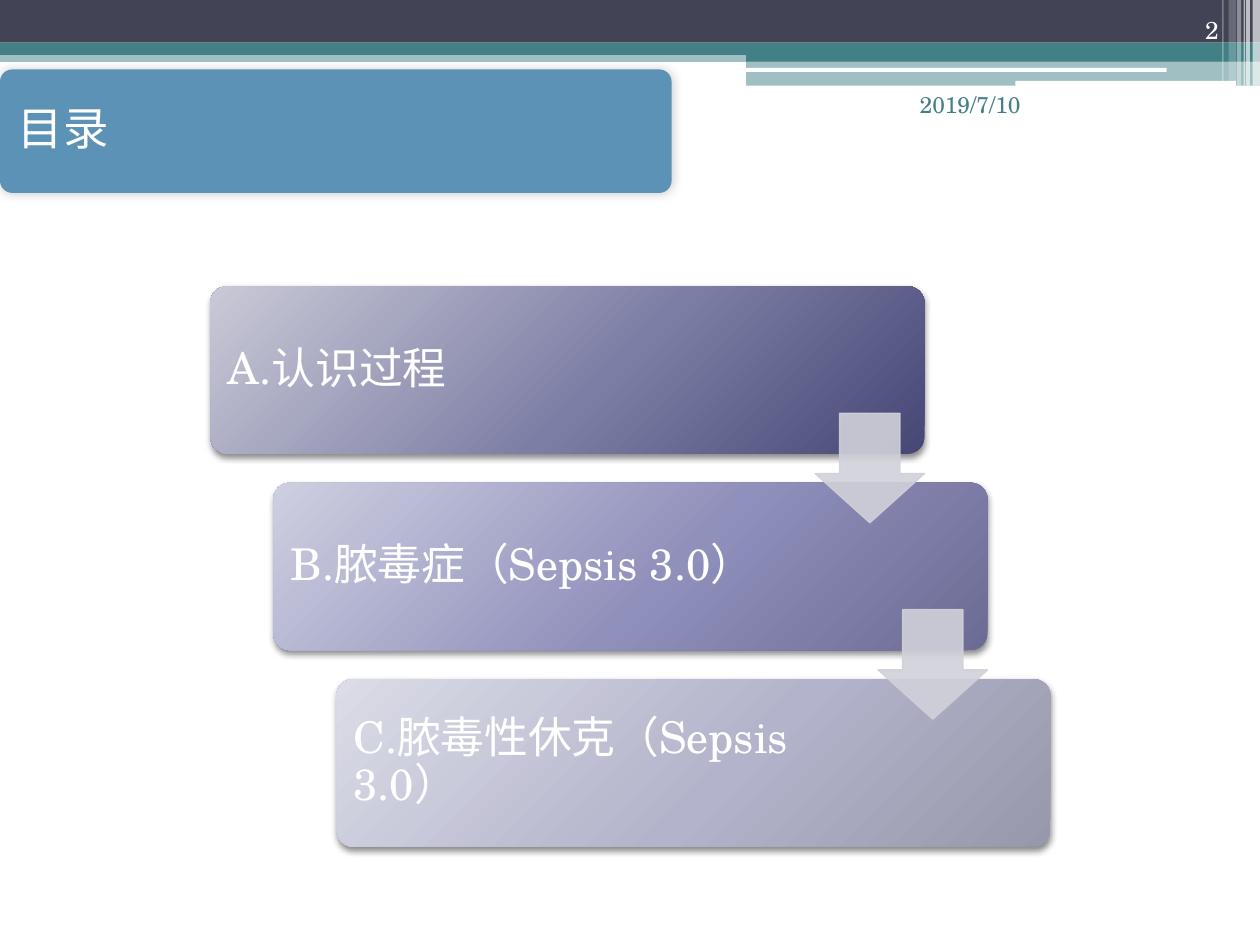
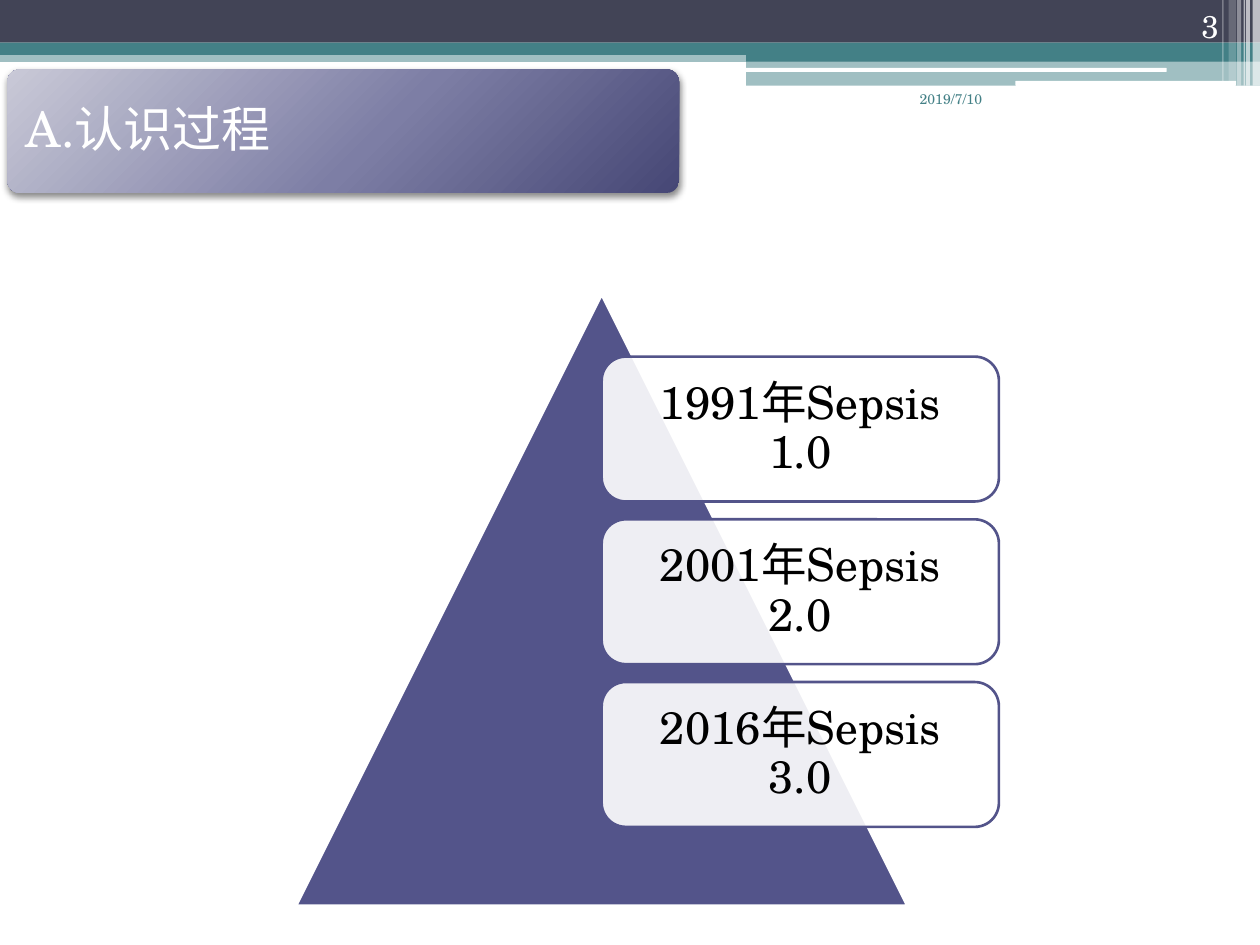
from dataclasses import dataclass
from typing import NamedTuple

from pptx import Presentation
from pptx.dml.color import RGBColor
from pptx.enum.shapes import MSO_SHAPE
from pptx.enum.text import MSO_ANCHOR, PP_ALIGN
from pptx.oxml import parse_xml
from pptx.oxml.ns import nsdecls, qn
from pptx.util import Cm, Pt


class Box(NamedTuple):
    """A rectangle in centimetres."""

    left: float
    top: float
    width: float
    height: float

    def lengths(self):
        """Return the four values as slide lengths."""
        return [Cm(value) for value in self]


class Shadow(NamedTuple):
    """An outer shadow: opacity in percent, points and degrees."""

    opacity: int
    blur: int
    distance: int
    angle: int


@dataclass(frozen=True)
class Theme:
    """Colours, type sizes and effects of the deck."""

    font: str = "TeX Gyre Schola"
    white: str = "FFFFFF"
    black: str = "000000"
    slate: str = "424456"
    teal: str = "438086"
    blue: str = "5C92B5"
    indigo: str = "53548A"
    arrow: str = "D1D1DA"
    dark_blend: tuple = ("C9C9D7", "7D7EA5", "464775")
    middle_blend: tuple = ("CECFE0", "9090BC", "6B6B94")
    pale_blend: tuple = ("DBDCE6", "B3B3CB", "9898AC")
    card_size: int = 25
    year_size: int = 26
    card_shadow: Shadow = Shadow(45, 4, 2, 90)
    soft_shadow: Shadow = Shadow(20, 6, 0, 315)


THEME = Theme()
PAGE = Box(0, 0, 25.4, 19.05)
DATE = "2019/7/10"


def set_opacity(shape, percent):
    """Make every colour set so far on the shape translucent."""
    for color in shape.element.spPr.iter(qn("a:srgbClr")):
        color.append(parse_xml(f'<a:alpha {nsdecls("a")} val="{percent * 1000}"/>'))


def set_blend(shape, colors):
    """Fill the shape with a circular blend centred beyond its top left."""
    stops = "".join(
        f'<a:gs pos="{place * 1000}"><a:srgbClr val="{color}"/></a:gs>'
        for place, color in zip((0, 55, 100), colors)
    )
    blend = parse_xml(
        f'<a:gradFill {nsdecls("a")} rotWithShape="1"><a:gsLst>{stops}</a:gsLst>'
        '<a:path path="circle"><a:fillToRect l="-40000" t="-90000" r="140000" b="190000"/>'
        "</a:path></a:gradFill>"
    )
    shape.element.spPr.find(qn("a:prstGeom")).addnext(blend)


def set_shadow(shape, shadow):
    """Cast an outer shadow from the shape."""
    effects = shape.element.spPr.find(qn("a:effectLst"))
    effects.append(parse_xml(
        f'<a:outerShdw {nsdecls("a")} blurRad="{Pt(shadow.blur)}" dist="{Pt(shadow.distance)}" '
        f'dir="{shadow.angle * 60000}" rotWithShape="0"><a:srgbClr val="{THEME.black}">'
        f'<a:alpha val="{shadow.opacity * 1000}"/></a:srgbClr></a:outerShdw>'
    ))


def add_figure(page, kind, box, fill, opacity=100, line=None, width=1.5):
    """Add a preset shape; a tuple of colours as fill makes a blend."""
    shape = page.shapes.add_shape(kind, *box.lengths())
    shape.shadow.inherit = False
    if isinstance(fill, tuple):
        set_blend(shape, fill)
    else:
        shape.fill.solid()
        shape.fill.fore_color.rgb = RGBColor.from_string(fill)
    if opacity < 100:
        set_opacity(shape, opacity)
    if line:
        shape.line.color.rgb = RGBColor.from_string(line)
        shape.line.width = Pt(width)
    else:
        shape.line.fill.background()
    return shape


def write(shape, text, size, color, align=PP_ALIGN.LEFT, anchor=MSO_ANCHOR.MIDDLE):
    """Write one paragraph into the shape and return its frame."""
    frame = shape.text_frame
    frame.word_wrap = True
    frame.vertical_anchor = anchor
    frame.text = text
    para = frame.paragraphs[0]
    para.alignment = align
    for span in para.runs:
        span.font.name = THEME.font
        span.font.size = Pt(size)
        span.font.color.rgb = RGBColor.from_string(color)
    return frame


def write_label(shape, text, size, color, pad, right_pad, align=PP_ALIGN.LEFT):
    """Write a tightly spaced label with the given insets."""
    frame = write(shape, text, size, color, align)
    frame.margin_left = frame.margin_top = frame.margin_bottom = Cm(pad)
    frame.margin_right = Cm(right_pad)
    frame.paragraphs[0].line_spacing = 0.9


def add_header(page, box):
    """Draw the bands and stripes along the top of the page."""
    half = box.left + 15.04
    half_width = box.width - 15.04
    bands = [
        (Box(box.left, box.top + 1.02, box.width, 0.23), THEME.teal, 50),
        (Box(box.left, box.top, box.width, 0.86), THEME.slate, 100),
        (Box(box.left, box.top + 0.86, box.width, 0.25), THEME.teal, 100),
        (Box(half, box.top + 0.99, half_width, 0.25), THEME.teal, 100),
        (Box(half, box.top + 1.22, half_width, 0.51), THEME.teal, 50),
    ]
    for band, color, opacity in bands:
        add_figure(page, MSO_SHAPE.RECTANGLE, band, color, opacity)
    for left, top, width, height in ((15.01, 1.37, 8.51, 0.08), (20.47, 1.63, 4.45, 0.1)):
        rule = Box(box.left + left, box.top + top, width, height)
        add_figure(page, MSO_SHAPE.ROUNDED_RECTANGLE, rule, THEME.white)
    stripes = [
        (0.15, 0.15, 1.73, 65),
        (0.28, 0.08, 1.73, 65),
        (0.33, 0.03, 1.73, 60),
        (0.46, 0.08, 1.73, 40),
        (0.63, 0.15, 1.63, 20),
        (0.76, 0.03, 1.63, 30),
    ]
    for from_right, width, height, opacity in stripes:
        stripe = Box(box.left + box.width - from_right, box.top, width, height)
        add_figure(page, MSO_SHAPE.RECTANGLE, stripe, THEME.white, opacity)


def add_page_marks(page, box, number, date_size, number_size):
    """Write the date and the page number in the header."""
    date = page.shapes.add_textbox(*Box(box.left + 18.29, box.top + 1.7, 2.67, 1.27).lengths())
    write(date, DATE, date_size, THEME.teal, anchor=MSO_ANCHOR.TOP)
    mark = page.shapes.add_textbox(*Box(box.left + 22.71, box.top, 2.11, 1.02).lengths())
    write(mark, number, number_size, THEME.white, PP_ALIGN.RIGHT, MSO_ANCHOR.BOTTOM)


def add_title(page, box, text, size, fill, shadow):
    """Add the rounded title plate."""
    plate = add_figure(page, MSO_SHAPE.ROUNDED_RECTANGLE, box, fill)
    plate.adjustments[0] = 0.1
    set_shadow(plate, shadow)
    write_label(plate, text, size, THEME.white, 0.29, 3)


def add_staircase(page, box, steps):
    """Place cards down a staircase with an arrow between neighbours."""
    card_width, card_height, arrow_side = 14.4, 3.38, 2.21
    gaps = len(steps) - 1
    shift = (box.width - card_width) / gaps
    drop = (box.height - card_height) / gaps
    cards = [
        Box(box.left + index * shift, box.top + index * drop, card_width, card_height)
        for index in range(len(steps))
    ]
    for card, (text, blend) in zip(cards, steps):
        plate = add_figure(page, MSO_SHAPE.ROUNDED_RECTANGLE, card, blend)
        plate.adjustments[0] = 0.1
        set_shadow(plate, THEME.card_shadow)
        write_label(plate, text, THEME.card_size, THEME.white, 0.25, 3.71)
    for card in cards[:-1]:
        place = Box(card.left + card_width - arrow_side, card.top + 2.56, arrow_side, arrow_side)
        arrow = add_figure(page, MSO_SHAPE.DOWN_ARROW, place, THEME.arrow,
                           line=THEME.arrow, width=0.75)
        arrow.adjustments[0] = 0.55
        arrow.adjustments[1] = 0.45
        set_opacity(arrow, 90)


def add_pyramid(page, box, milestones):
    """Draw a triangle with a column of boxes starting on its axis."""
    add_figure(page, MSO_SHAPE.ISOSCELES_TRIANGLE, box, THEME.indigo, line=THEME.white)
    for index, text in enumerate(milestones):
        place = Box(box.left + box.width / 2, box.top + 1.25 + index * 3.28,
                    box.width * 0.65, 2.92)
        card = add_figure(page, MSO_SHAPE.ROUNDED_RECTANGLE, place, THEME.white, 90, THEME.indigo)
        write_label(card, text, THEME.year_size, THEME.black, 0.28, 0.28, PP_ALIGN.CENTER)


def add_page(deck):
    """Add a blank page with the shared header."""
    page = deck.slides.add_slide(deck.slide_layouts[6])
    add_header(page, PAGE)
    return page


def build_contents(deck):
    """Build the contents page."""
    page = add_page(deck)
    add_staircase(page, Box(4.24, 5.77, 16.94, 11.3), [
        ("A.认识过程", THEME.dark_blend),
        ("B.脓毒症（Sepsis 3.0）", THEME.middle_blend),
        ("C.脓毒性休克（Sepsis 3.0）", THEME.pale_blend),
    ])
    add_page_marks(page, PAGE, "2", 13, 14)
    add_title(page, Box(0, 1.4, 13.54, 2.49), "目录", 26, THEME.blue, THEME.soft_shadow)


def build_history(deck):
    """Build the page on the stages of understanding."""
    page = add_page(deck)
    add_pyramid(page, Box(5.97, 5.94, 12.32, 12.32),
                ["1991年Sepsis 1.0", "2001年Sepsis 2.0", "2016年Sepsis 3.0"])
    add_page_marks(page, PAGE, "3", 8, 18)
    add_title(page, Box(0.15, 1.4, 13.54, 2.49), "A.认识过程", 28,
              THEME.dark_blend, THEME.card_shadow)


def main():
    """Build and save the deck."""
    deck = Presentation()
    deck.slide_width = Cm(PAGE.width)
    deck.slide_height = Cm(PAGE.height)
    build_contents(deck)
    build_history(deck)
    deck.save("out.pptx")


if __name__ == "__main__":
    main()
